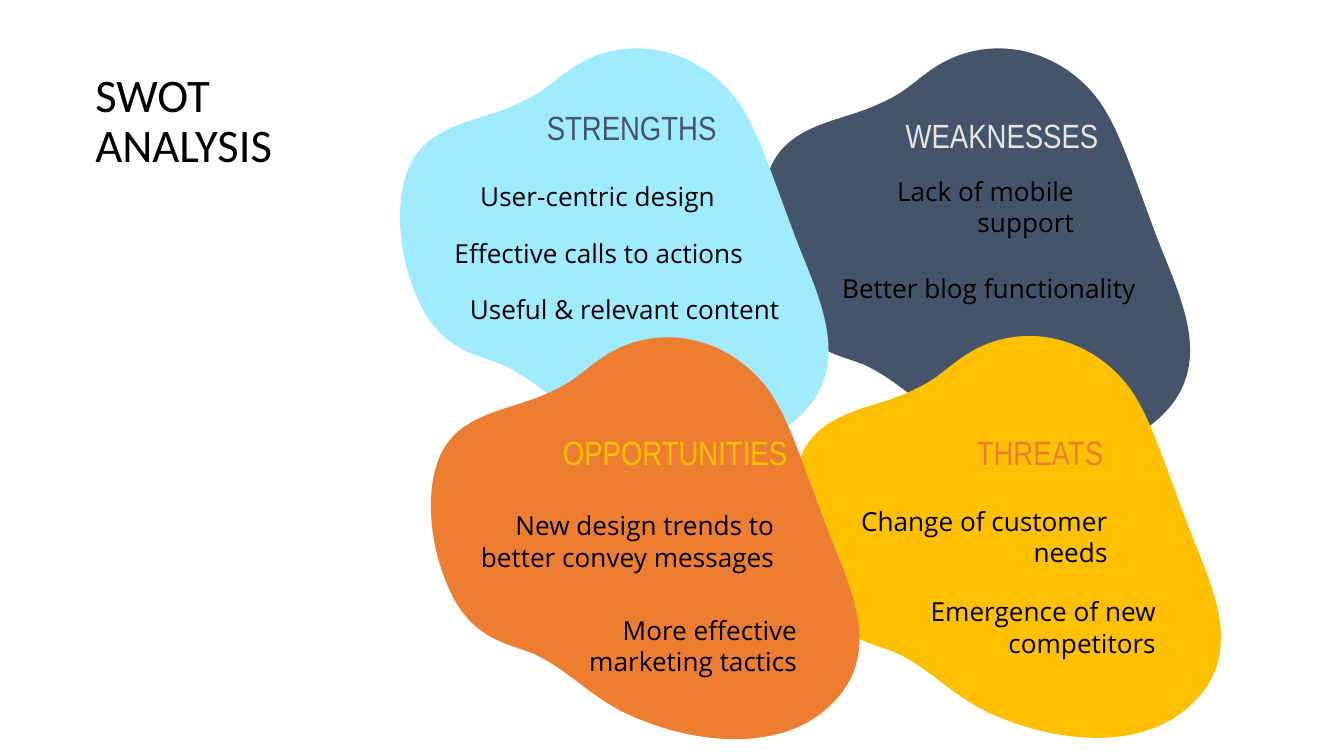
from lxml import etree
from pptx import Presentation
from pptx import util as u
from pptx.dml.color import RGBColor
from pptx.enum import text
from pptx.oxml.ns import qn

SLIDE_WIDTH = u.Inches(10)
BLOB_SIZE = (3.47, 2.99)
BLOB_START = (1.81, 0)
# Each curve: two control points and an end point, in inches from the blob's corner
BLOB_CURVES = [
    ((1.62, 0), (1.44, 0.06), (1.28, 0.18)),
    ((1.13, 0.29), (1.1, 0.34), (0.86, 0.44)),
    ((0.59, 0.55), (0.22, 0.58), (0.1, 0.92)),
    ((0, 1.18), (0.04, 1.61), (0.22, 1.95)),
    ((0.39, 2.25), (0.62, 2.28), (0.8, 2.35)),
    ((1.05, 2.46), (1.22, 2.66), (1.48, 2.79)),
    ((1.71, 2.9), (2.01, 2.99), (2.31, 2.99)),
    ((2.53, 2.99), (2.75, 2.94), (2.92, 2.82)),
    ((3.47, 2.42), (3.17, 1.88), (2.99, 1.41)),
    ((2.77, 0.82), (2.7, 0.59), (2.55, 0.38)),
    ((2.36, 0.13), (2.08, 0), BLOB_START),
]
BLOBS = [  # left, top, colour
    (5.62, 0.36, "44546A"),
    (2.93, 0.36, "A0EBFF"),
    (5.85, 2.5, "FFC000"),
    (3.16, 2.51, "ED7D31"),
]
HEADINGS = [  # wording, left, top, colour
    ("STRENGTHS", 3.97, 0.61, "44546A"),
    ("WEAKNESSES", 6.64, 0.67, "E7E6E6"),
    ("OPPORTUNITIES", 4.09, 3.03, "FFC000"),
    ("THREATS", 7.17, 3.03, "ED7D31"),
]
INSET = 0.1
RAISED = 0.33  # bottom inset that lifts a line above the middle of its box
TEXT_SIZE = (2.06, 0.67)
WIDE_SIZE = (2.54, 0.67)
POINTS = [  # wording, left, top, size, bottom inset
    ("User-centric design", 3.36, 1.24, TEXT_SIZE, RAISED),
    ("Effective calls to actions", 3.16, 1.65, (2.47, 0.7), RAISED),
    ("Useful & relevant content", 3.36, 2.08, WIDE_SIZE, RAISED),
    ("Lack of mobile support", 6.03, 1.2, TEXT_SIZE, INSET),
    ("Better blog functionality", 6.01, 1.81, WIDE_SIZE, INSET),
    ("New design trends to better convey messages", 3.45, 3.69, (2.41, 0.67), INSET),
    ("More effective marketing tactics", 3.97, 4.47, TEXT_SIZE, INSET),
    ("Change of customer needs", 6.28, 3.66, TEXT_SIZE, INSET),
    ("Emergence of new competitors", 6.64, 4.33, TEXT_SIZE, INSET),
]
TITLE_FONT = {"name": "Calibri", "size": u.Pt(25), "bold": False}
HEADING_FONT = {"name": "Arial Narrow", "size": u.Pt(18)}
POINT_FONT = {"name": "Open Sans", "size": u.Pt(14)}


def set_attributes(target, values):
    for name, value in values.items():
        setattr(target, name, value)


def colour(hex_value):
    return RGBColor.from_string(hex_value)


def place(shape, left, top, width, height):
    set_attributes(shape, {
        "left": u.Inches(left), "top": u.Inches(top),
        "width": u.Inches(width), "height": u.Inches(height),
    })


def write(shape, wording, font, font_colour, alignment, bottom=INSET):
    frame = shape.text_frame
    inset = u.Inches(INSET)
    set_attributes(frame, {
        "text": wording, "word_wrap": True,
        "auto_size": text.MSO_AUTO_SIZE.NONE,
        "vertical_anchor": text.MSO_ANCHOR.MIDDLE,
        "margin_left": inset, "margin_right": inset,
        "margin_top": inset, "margin_bottom": u.Inches(bottom),
    })
    paragraph = frame.paragraphs[0]
    paragraph.alignment = alignment
    run_font = paragraph.runs[0].font
    set_attributes(run_font, font)
    run_font.color.rgb = colour(font_colour)
    return paragraph


def add_title(slide):
    title = slide.shapes.title
    place(title, 0.61, 0.58, 2.43, 0.66)
    paragraph = write(title, "SWOT ANALYSIS", TITLE_FONT, "000000", text.PP_ALIGN.LEFT)
    paragraph.line_spacing = 0.9


def add_text(slide, wording, left, top, size, *style):
    box = slide.shapes.add_textbox(0, 0, 0, 0)
    place(box, left, top, *size)
    write(box, wording, *style)


def bend_outline(shape):
    """Turn the straight sides of a blob into its Bézier curves."""
    outline = next(shape.element.iter(qn("a:path")))
    for name, length in zip("wh", BLOB_SIZE):
        outline.set(name, str(u.Inches(length)))
    for child in list(outline):
        outline.remove(child)
    commands = [("a:moveTo", [BLOB_START])]
    commands += [("a:cubicBezTo", curve) for curve in BLOB_CURVES]
    for tag, points in commands:
        command = etree.SubElement(outline, qn(tag))
        for x, y in points:
            etree.SubElement(command, qn("a:pt"), x=str(u.Inches(x)), y=str(u.Inches(y)))
    etree.SubElement(outline, qn("a:close"))


def add_blob(slide, left, top, fill):
    builder = slide.shapes.build_freeform(*BLOB_START, scale=u.Inches(1))
    builder.add_line_segments([curve[-1] for curve in BLOB_CURVES])
    blob = builder.convert_to_shape()
    bend_outline(blob)
    place(blob, left, top, *BLOB_SIZE)
    blob.shadow.inherit = False
    blob.fill.solid()
    blob.fill.fore_color.rgb = colour(fill)
    blob.line.fill.background()


def main():
    presentation = Presentation()
    presentation.slide_width = SLIDE_WIDTH
    presentation.slide_height = SLIDE_WIDTH * 9 // 16
    slide = presentation.slides.add_slide(presentation.slide_layouts[5])
    add_title(slide)
    for blob in BLOBS:
        add_blob(slide, *blob)
    for wording, left, top, font_colour in HEADINGS:
        add_text(slide, wording, left, top, TEXT_SIZE,
                 HEADING_FONT, font_colour, text.PP_ALIGN.LEFT)
    for wording, left, top, size, bottom in POINTS:
        add_text(slide, wording, left, top, size,
                 POINT_FONT, "000000", text.PP_ALIGN.RIGHT, bottom)
    presentation.save("out.pptx")


if __name__ == "__main__":
    main()
